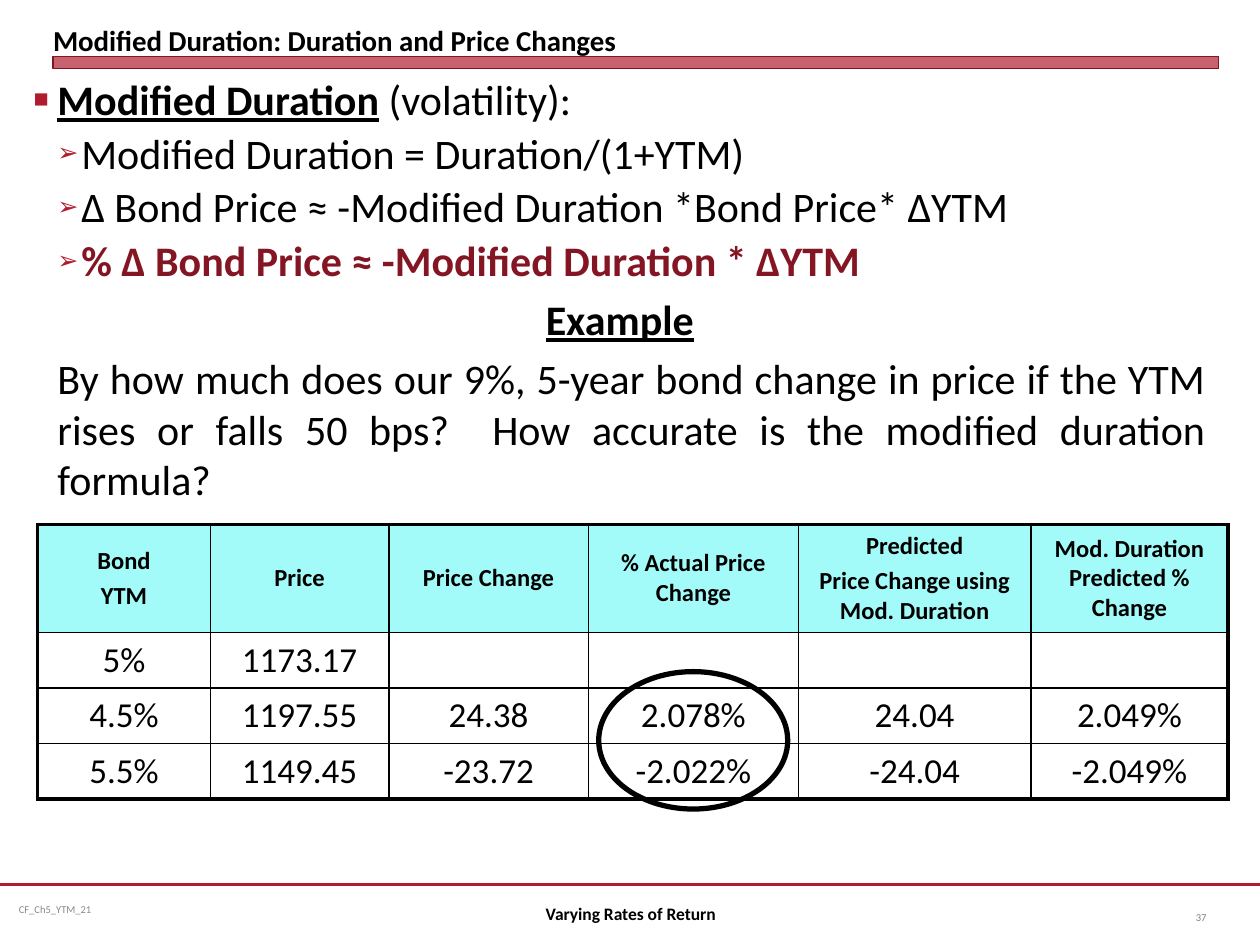
from dataclasses import dataclass
from typing import Any

from lxml.etree import SubElement as Sub
from pptx import Presentation
from pptx.dml.color import RGBColor
from pptx.enum.shapes import MSO_CONNECTOR as Connector, MSO_SHAPE as Preset
from pptx.enum.text import MSO_ANCHOR as Anchor, MSO_AUTO_SIZE as AutoSize, PP_ALIGN as Align
from pptx.oxml.ns import qn
from pptx.util import Cm, Pt

HEADINGS = [["Bond", "YTM"], ["Price"], ["Price Change"], ["% Actual Price Change"],
            ["Predicted", "Price Change using Mod. Duration"],
            ["Mod. Duration Predicted % Change"]]
BONDS = [["5%", "1173.17", "", "", "", ""],
         ["4.5%", "1197.55", "24.38", "2.078%", "24.04", "2.049%"],
         ["5.5%", "1149.45", "-23.72", "-2.022%", "-24.04", "-2.049%"]]
QUESTION = ("By how much does our 9%, 5-year bond change in price if the YTM rises or falls 50 bps?"
            "  How accurate is the modified duration formula?")


def color(value):
    return RGBColor.from_string(value)


def write(para, text, font="Calibri", size=24, ink="000000", bold=False, underline=False):
    span = para.add_run()
    span.text = text
    span.font.name = font
    span.font.size = Pt(size)
    span.font.color.rgb = color(ink)
    span.font.bold = bold
    span.font.underline = underline


def set_bullet(para, mark, ink):
    props = para._p.get_or_add_pPr()
    Sub(Sub(props, qn("a:buClr")), qn("a:srgbClr"), val=ink)
    Sub(props, qn("a:buSzPct"), val="60000")
    Sub(props, qn("a:buFont"), typeface="Arial")
    Sub(props, qn("a:buChar"), char=mark)


def set_border(cell, side, width):
    line = Sub(cell._tc.get_or_add_tcPr(), qn(f"a:ln{side}"), w=str(Pt(width)))
    Sub(Sub(line, qn("a:solidFill")), qn("a:srgbClr"), val="000000")


@dataclass
class SlideBuilder:
    page: Any
    red: str = "B01C2E"
    dark_red: str = "841523"
    header: str = "A3FBF9"
    step: float = 0.48

    def place(self, shape, left, top, width, height):
        shape.left, shape.top = Cm(left), Cm(top)
        shape.width, shape.height = Cm(width), Cm(height)

    def title(self, text, *area):
        box = self.page.shapes.title
        self.place(box, *area)
        frame = box.text_frame
        frame.auto_size = AutoSize.NONE
        frame.vertical_anchor = Anchor.BOTTOM
        frame.margin_left = frame.margin_right = frame.margin_top = frame.margin_bottom = 0
        frame.paragraphs[0].alignment = Align.LEFT
        write(frame.paragraphs[0], text, size=16.5, bold=True)

    def frame(self, *area):
        frame = self.page.shapes.add_textbox(*map(Cm, area)).text_frame
        frame.word_wrap = True
        return frame

    def label(self, text, area, align, **style):
        frame = self.frame(*area)
        frame.vertical_anchor = Anchor.MIDDLE
        frame.paragraphs[0].alignment = align
        write(frame.paragraphs[0], text, **style)
        return frame

    def item(self, frame, spans, level=0, mark=None, align=Align.JUSTIFY, hang=True):
        first = not frame.paragraphs[0].runs
        para = frame.paragraphs[0] if first else frame.add_paragraph()
        props = para._p.get_or_add_pPr()
        props.set("marL", str(Cm(self.step * (level + 1))))
        props.set("indent", str(Cm(-self.step if hang else 0)))
        if mark:
            set_bullet(para, mark, self.red)
            para.line_spacing = 0.9
        para.level = level
        para.alignment = align
        if not first:
            para.space_before = Pt(4.8)
        for text, style in spans:
            write(para, text, **style)

    def shape(self, preset, area, line, width, fill=None, opacity=100):
        shape = self.page.shapes.add_shape(preset, *map(Cm, area))
        shape.shadow.inherit = False
        shape.line.color.rgb = color(line)
        shape.line.width = Pt(width)
        if fill:
            shape.fill.solid()
            shape.fill.fore_color.rgb = color(fill)
            tint = shape._element.spPr.find(qn("a:solidFill"))[0]
            Sub(tint, qn("a:alpha"), val=str(opacity * 1000))
        else:
            shape.fill.background()

    def rule(self, left, right, top):
        line = self.page.shapes.add_connector(Connector.STRAIGHT, Cm(left), Cm(top), Cm(right), Cm(top))
        line.line.color.rgb = color(self.red)
        line.line.width = Pt(1.25)
        Sub(line._element.spPr, qn("a:effectLst"))

    def table(self, left, top, widths, heights, headings, rows):
        grid = [headings] + [[[text] for text in row] for row in rows]
        area = left, top, sum(widths), sum(heights)
        table = self.page.shapes.add_table(len(grid), len(widths), *map(Cm, area)).table
        table.first_row = table.horz_banding = False
        for column, width in zip(table.columns, widths):
            column.width = Cm(width)
        for row, height in zip(table.rows, heights):
            row.height = Cm(height)
        last_row, last_column = len(grid) - 1, len(widths) - 1
        for r, row in enumerate(grid):
            for c, lines in enumerate(row):
                cell = table.cell(r, c)
                edges = {"L": c == 0, "R": c == last_column, "T": r == 0, "B": r == last_row}
                for side, outer in edges.items():
                    set_border(cell, side, 2.25 if outer else 1)
                self.fill_cell(cell, lines, heading=r == 0)

    def fill_cell(self, cell, lines, heading):
        cell.vertical_anchor = Anchor.MIDDLE
        if heading:
            cell.fill.solid()
            cell.fill.fore_color.rgb = color(self.header)
        else:
            cell.fill.background()
        for i, text in enumerate(lines):
            para = cell.text_frame.add_paragraph() if i else cell.text_frame.paragraphs[0]
            para.alignment = Align.CENTER
            if i:
                para.space_before = Pt(2.8)
            if text:
                write(para, text, size=14 if heading else 20, bold=heading)


def main():
    deck = Presentation()
    deck.slide_width, deck.slide_height = Cm(25.4), Cm(19.05)
    slide = SlideBuilder(deck.slides.add_slide(deck.slide_layouts[5]))

    slide.rule(0, 25.4, 17.83)
    footer = slide.label("CF_Ch5_YTM_21", (0.2, 17.83, 6.55, 1.02), Align.LEFT, size=6, ink="898989")
    footer.margin_left = footer.margin_right = Cm(0.18)
    slide.shape(Preset.RECTANGLE, (1.07, 1.14, 23.5, 0.25), "821522", 0, slide.red, 69)
    slide.title("Modified Duration: Duration and Price Changes", 1.07, 0.13, 23.5, 1.02)

    body = slide.frame(0.43, 1.47, 24.13, 16.15)
    strong = {"bold": True, "underline": True}
    slide.item(body, [("Modified Duration", strong), (" (volatility):", {})], mark="■")
    formulas = [("Modified Duration = Duration/(1+YTM)", {}),
                ("∆ Bond Price ≈ -Modified Duration *Bond Price* ∆YTM", {}),
                ("% ∆ Bond Price ≈ -Modified Duration * ∆YTM", {"ink": slide.dark_red, "bold": True})]
    for formula in formulas:
        slide.item(body, [formula], level=1, mark="➢")
    slide.item(body, [("Example", strong)], align=Align.CENTER)
    slide.item(body, [(QUESTION, {})], hang=False)

    slide.table(0.76, 10.57, [3.48, 3.6, 4.02, 4.24, 4.68, 3.98], [2.18] + [1.12] * 3, HEADINGS, BONDS)
    slide.shape(Preset.OVAL, (12.07, 13.54, 3.81, 2.77), "000000", 3)
    slide.label("Varying Rates of Return", (8.69, 17.9, 8.05, 1.02), Align.CENTER, size=10, bold=True)
    slide.label("37", (23.3, 17.98, 1.27, 1.02), Align.RIGHT, size=6, ink="808080")
    deck.save("out.pptx")


if __name__ == "__main__":
    main()
